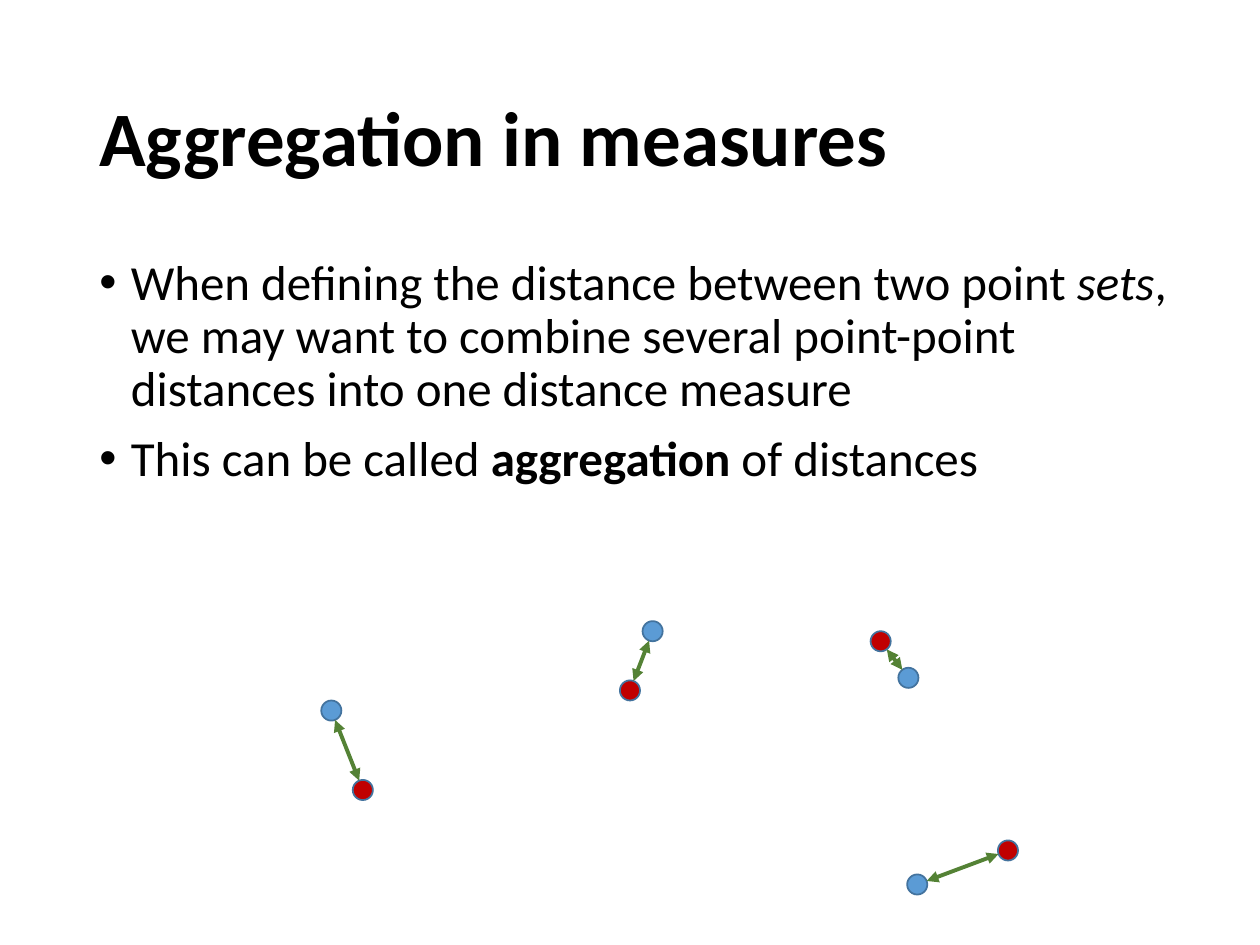
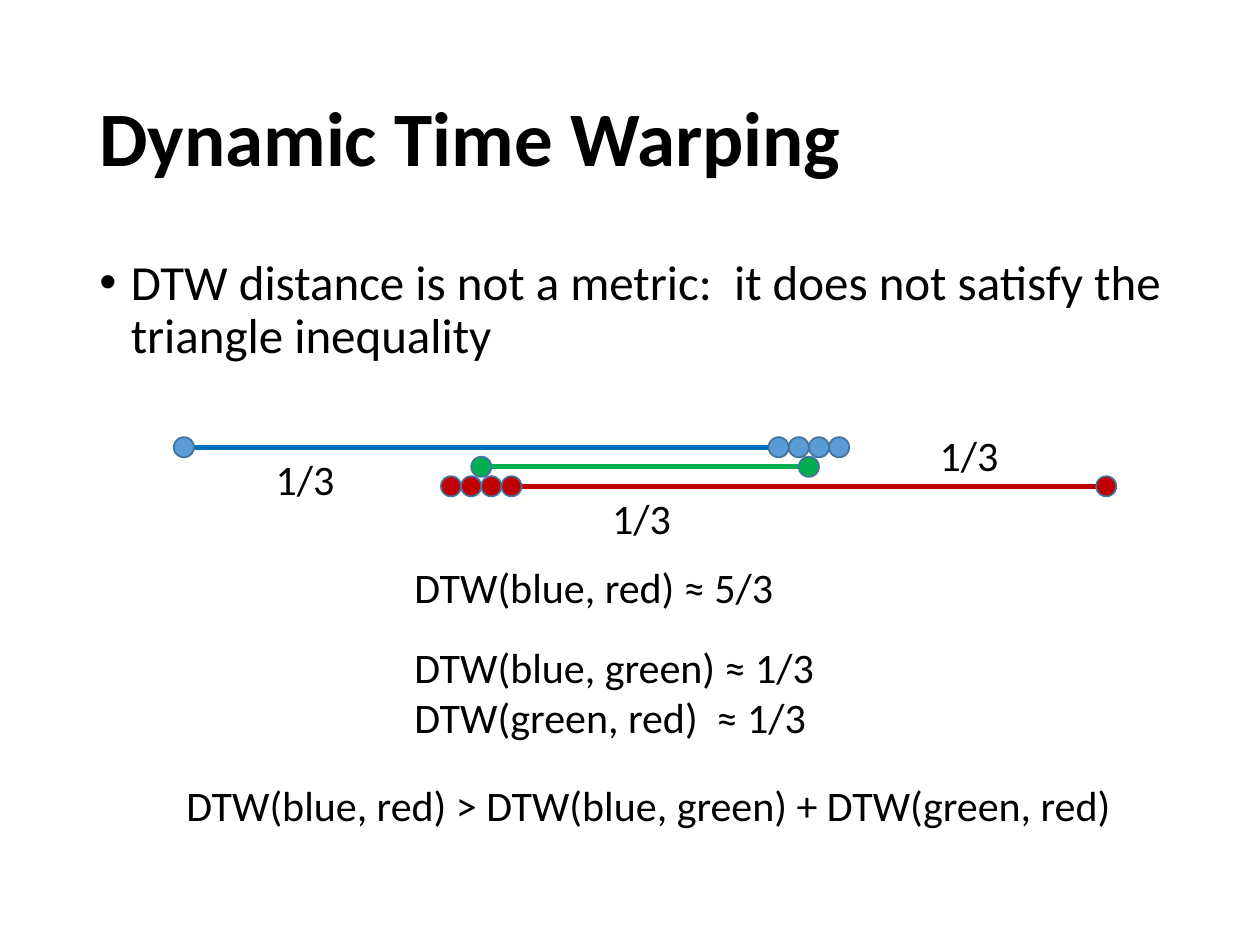
"""Builds two slides on distance measures between point sets."""
import math

from lxml import etree
from pptx import Presentation
from pptx import util as u
from pptx.dml.color import RGBColor
from pptx.enum import shapes, text
from pptx.oxml import ns

COLORS = {
    "text": "000000", "outline": "43739E", "arrow": "548235",
    "blue": "5B9BD5", "red": "C00000", "green": "00B050", "blue line": "0070C0",
}
FONT = "Calibri"
SLIDE_WIDTH, SLIDE_HEIGHT = 10, 7.5
COLUMNS = 100
CELL = SLIDE_WIDTH / COLUMNS
DOT = 1.6
LEFT = 6.9
TITLE_BOX = (LEFT, 4, 86.2, 14.5)
BODY_TOP = 20

AGGREGATION = {
    "title": "Aggregation in measures",
    "body_size": (87.2, 22.3),
    "bullets": [
        [("When defining the distance between two point ", ""), ("sets", "italic"),
         (", we may want to combine several point-point distances into one distance measure", "")],
        [("This can be called ", ""), ("aggregation", "bold"), (" of distances", "")],
    ],
}
POINT_PAIRS = [
    {"red": (28.8, 62.7), "blue": (26.3, 56.4)},
    {"red": (50, 54.8), "blue": (51.8, 50.1)},
    {"red": (80, 67.5), "blue": (72.8, 70.2)},
    {"red": (69.9, 50.9), "blue": (72.1, 53.8)},
]

WARPING = {
    "title": "Dynamic Time Warping",
    "body_size": (88, 12),
    "bullets": [[("DTW distance is not a metric:  it does not satisfy the triangle inequality", "")]],
}
TRACK_TOP, TRACK_PITCH = 35.5, 1.55
TRACKS = [
    {"row": 0, "dots": "blue", "line": "blue line", "groups": [(14.6, 1), (61.8, 4)]},
    {"row": 2, "dots": "red", "line": "red", "groups": [(35.8, 4), (87.8, 1)]},
    {"row": 1, "dots": "green", "line": "green", "groups": [(38.2, 1), (64.2, 1)]},
]
LABEL_HEIGHT = 5
LABELS = [
    ("1/3", 20.9, 35.5, 6.7),
    ("1/3", 47.6, 38.6, 6.7),
    ("1/3", 73.6, 33.6, 6.7),
    ("DTW(blue, red) ≈ 5/3", 31.9, 44.1, 31),
    ("DTW(blue, green) ≈ 1/3", 31.9, 50.4, 34.2),
    ("DTW(green, red)  ≈ 1/3", 31.9, 54.4, 33.6),
    ("DTW(blue, red) > DTW(blue, green) + DTW(green, red)", 13.8, 61.4, 76.9),
]


def grid(*cells):
    return [u.Inches(cell * CELL) for cell in cells]


def color(name):
    return RGBColor.from_string(COLORS[name])


def format_runs(paragraph, size, bold=False):
    for run in paragraph.runs:
        run.font.name, run.font.size = FONT, u.Pt(size)
        run.font.color.rgb = color("text")
        if bold:
            run.font.bold = True


def add_text(slide, content, box, size, bold=False, wrap=True):
    frame = slide.shapes.add_textbox(*grid(*box)).text_frame
    frame.text = content
    frame.word_wrap = wrap
    format_runs(frame.paragraphs[0], size, bold)
    return frame


def add_bullet(paragraph, pieces):
    for piece, style in pieces:
        run = paragraph.add_run()
        run.text = piece
        run.font.bold, run.font.italic = style == "bold", style == "italic"
    format_runs(paragraph, 28)
    paragraph.line_spacing, paragraph.space_before = 0.9, u.Pt(10)
    properties = paragraph._p.get_or_add_pPr()
    properties.set("marL", str(u.Inches(0.25)))
    properties.set("indent", str(u.Inches(-0.25)))
    etree.SubElement(properties, ns.qn("a:buFont")).set("typeface", "Arial")
    etree.SubElement(properties, ns.qn("a:buChar")).set("char", "•")


def add_slide(presentation, content):
    slide = presentation.slides.add_slide(presentation.slide_layouts[6])
    title = add_text(slide, content["title"], TITLE_BOX, 44, bold=True)
    title.vertical_anchor = text.MSO_ANCHOR.MIDDLE
    title.paragraphs[0].line_spacing = 0.9
    body = add_text(slide, "", (LEFT, BODY_TOP, *content["body_size"]), 28)
    for index, pieces in enumerate(content["bullets"]):
        add_bullet(body.add_paragraph() if index else body.paragraphs[0], pieces)
    return slide


def add_dot(slide, center, name):
    x, y = center
    dot = slide.shapes.add_shape(
        shapes.MSO_SHAPE.OVAL, *grid(x - DOT / 2, y - DOT / 2, DOT, DOT))
    dot.shadow.inherit = False
    dot.fill.solid()
    dot.fill.fore_color.rgb = color(name)
    dot.line.color.rgb, dot.line.width = color("outline"), u.Pt(1)


def add_line(slide, start, end, name, width, arrows=False):
    line = slide.shapes.add_connector(
        shapes.MSO_CONNECTOR.STRAIGHT, *grid(*start, *end))
    line.line.color.rgb, line.line.width = color(name), u.Pt(width)
    etree.SubElement(line._element.spPr, ns.qn("a:effectLst"))
    if arrows:
        for tag in ("a:headEnd", "a:tailEnd"):
            etree.SubElement(line.line._get_or_add_ln(), ns.qn(tag)).set("type", "triangle")


def toward(start, end):
    share = DOT / 2 / math.dist(start, end)
    return tuple(a + (b - a) * share for a, b in zip(start, end))


def add_pair(slide, pair):
    for name, center in pair.items():
        add_dot(slide, center, name)
    red, blue = pair["red"], pair["blue"]
    add_line(slide, toward(red, blue), toward(blue, red), "arrow", 2.25, arrows=True)


def add_track(slide, track):
    y = TRACK_TOP + track["row"] * TRACK_PITCH
    centers = [(x + index * DOT, y) for x, count in track["groups"] for index in range(count)]
    add_line(slide, centers[0], centers[-1], track["line"], 3)
    for center in centers:
        add_dot(slide, center, track["dots"])


presentation = Presentation()
presentation.slide_width, presentation.slide_height = u.Inches(SLIDE_WIDTH), u.Inches(SLIDE_HEIGHT)

aggregation_slide = add_slide(presentation, AGGREGATION)
for pair in POINT_PAIRS:
    add_pair(aggregation_slide, pair)

warping_slide = add_slide(presentation, WARPING)
for track in TRACKS:
    add_track(warping_slide, track)
for label, left, top, width in LABELS:
    add_text(warping_slide, label, (left, top, width, LABEL_HEIGHT), 24, wrap=False)

presentation.save("out.pptx")
